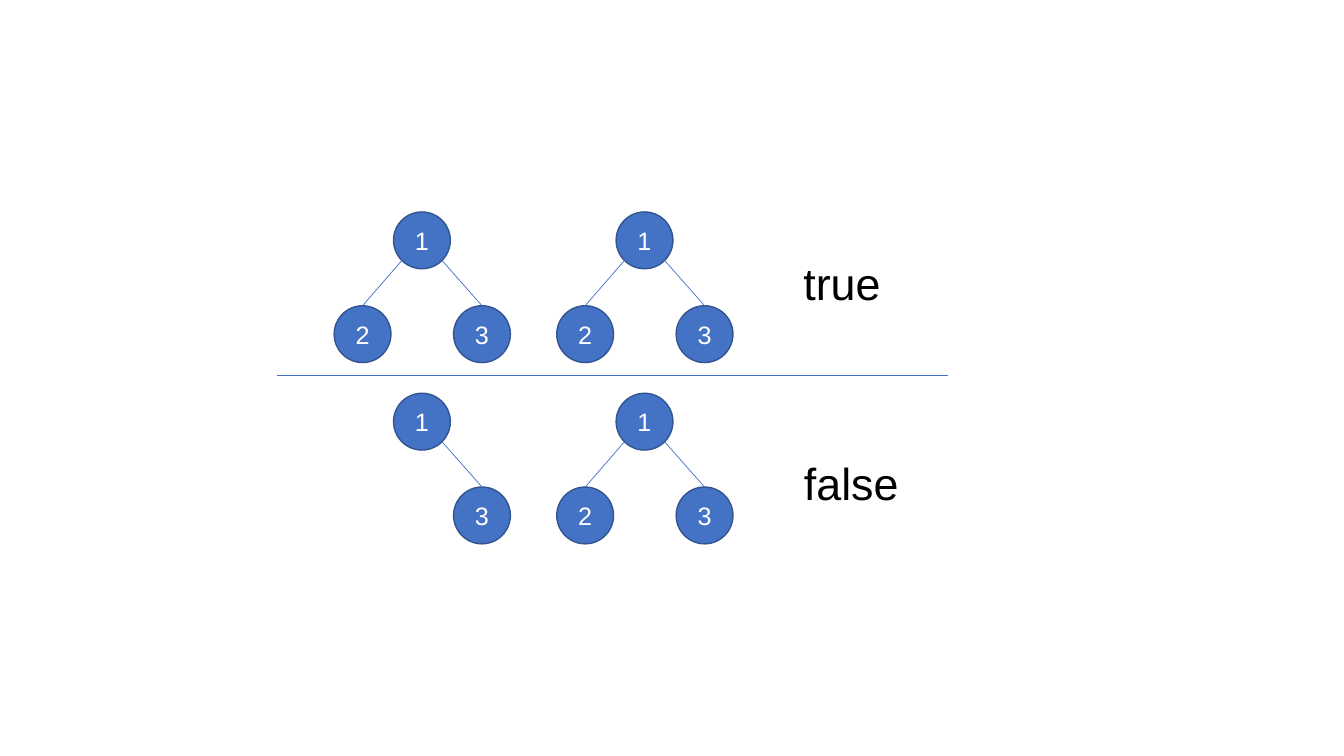
import math

import pptx
import pptx.dml.color
import pptx.enum.shapes
import pptx.enum.text
import pptx.oxml
import pptx.util

BLUE = pptx.dml.color.RGBColor(0x44, 0x72, 0xC4)
DARK_BLUE = pptx.dml.color.RGBColor(0x32, 0x54, 0x91)
WHITE = pptx.dml.color.RGBColor(0xFF, 0xFF, 0xFF)
BLACK = pptx.dml.color.RGBColor(0x00, 0x00, 0x00)


class TreeSlide:
    """Draws binary trees, labels and lines on one slide in a shared style."""

    font = "Arial"
    diameter = 40.6
    child_drop = 67
    child_offsets = (-42.4, 42.9)

    def __init__(self, slide):
        self.slide = slide

    def add_run(self, paragraph, text, size, color):
        run = paragraph.add_run()
        run.text = text
        run.font.name = self.font
        run.font.size = pptx.util.Pt(size)
        run.font.color.rgb = color

    def add_node(self, center_x, center_y, text):
        radius = self.diameter / 2
        shape = self.slide.shapes.add_shape(
            pptx.enum.shapes.MSO_SHAPE.OVAL,
            pptx.util.Pt(center_x - radius), pptx.util.Pt(center_y - radius),
            pptx.util.Pt(self.diameter), pptx.util.Pt(self.diameter))
        shape.shadow.inherit = False
        shape.fill.solid()
        shape.fill.fore_color.rgb = BLUE
        shape.line.color.rgb = DARK_BLUE
        shape.line.width = pptx.util.Pt(1)
        shape.text_frame.vertical_anchor = pptx.enum.text.MSO_ANCHOR.MIDDLE
        paragraph = shape.text_frame.paragraphs[0]
        paragraph.alignment = pptx.enum.text.PP_ALIGN.CENTER
        self.add_run(paragraph, text, 18, WHITE)
        return shape

    def add_line(self, start_x, start_y, end_x, end_y):
        connector = self.slide.shapes.add_connector(
            pptx.enum.shapes.MSO_CONNECTOR.STRAIGHT,
            pptx.util.Pt(start_x), pptx.util.Pt(start_y),
            pptx.util.Pt(end_x), pptx.util.Pt(end_y))
        connector.line.color.rgb = BLUE
        connector.line.width = pptx.util.Pt(0.5)
        properties = connector.element.spPr
        properties.append(pptx.oxml.parse_xml(
            '<a:effectLst xmlns:a="http://schemas.openxmlformats.org/drawingml/2006/main"/>'))
        return connector

    def add_tree(self, root_x, root_y, root, children):
        self.add_node(root_x, root_y, root)
        reach = self.diameter / 2 * math.sqrt(0.5)
        child_y = root_y + self.child_drop
        for child, offset in zip(children, self.child_offsets):
            if child is None:
                continue
            child_x = root_x + offset
            node = self.add_node(child_x, child_y, child)
            edge = self.add_line(
                root_x + math.copysign(reach, offset), root_y + reach,
                child_x, child_y - self.diameter / 2)
            edge.end_connect(node, 0)

    def add_label(self, left, top, width, text):
        shape = self.slide.shapes.add_textbox(
            pptx.util.Pt(left), pptx.util.Pt(top), pptx.util.Pt(width), pptx.util.Pt(46))
        shape.text_frame.word_wrap = False
        shape.text_frame.auto_size = pptx.enum.text.MSO_AUTO_SIZE.SHAPE_TO_FIT_TEXT
        self.add_run(shape.text_frame.paragraphs[0], text, 32, BLACK)


def main():
    presentation = pptx.Presentation()
    presentation.slide_width = pptx.util.Pt(960)
    presentation.slide_height = pptx.util.Pt(540)
    slide = presentation.slides.add_slide(presentation.slide_layouts[6])
    board = TreeSlide(slide)

    full = ("2", "3")
    rows = (
        (171.7, (full, full)),
        (301.2, ((None, "3"), full)),
    )
    for root_y, pair in rows:
        for root_x, children in zip((301.4, 460.4), pair):
            board.add_tree(root_x, root_y, "1", children)

    board.add_label(566.8, 179.4, 70, "true")
    board.add_label(567.2, 321.8, 83, "false")
    board.add_line(198, 268, 677.2, 268)
    presentation.save("out.pptx")


if __name__ == "__main__":
    main()
